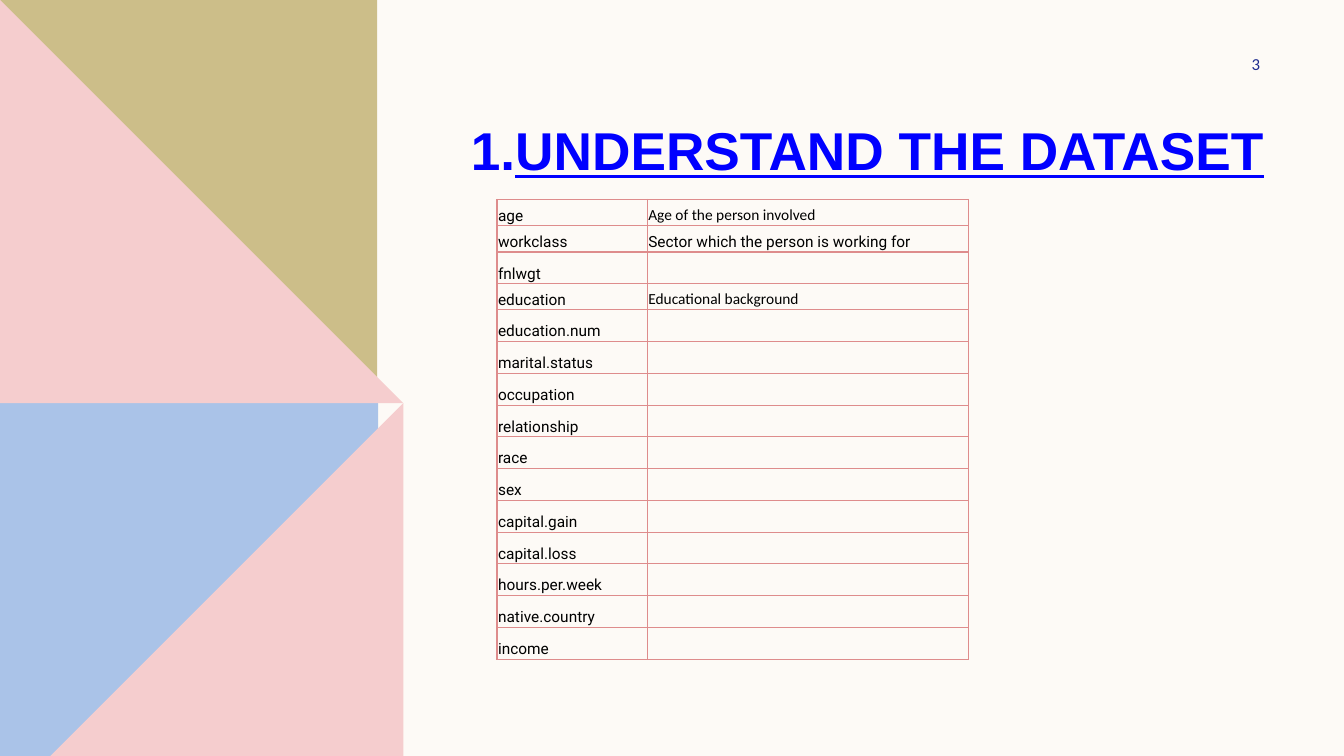
import pptx
import pptx.util
import pptx.dml.color
import pptx.enum.shapes
import pptx.enum.text
import pptx.oxml
import pptx.oxml.ns
from dataclasses import dataclass

Inches = pptx.util.Inches
Pt = pptx.util.Pt
ALIGN = pptx.enum.text.PP_ALIGN
ANCHOR = pptx.enum.text.MSO_ANCHOR


@dataclass(frozen=True)
class Theme:
    back: str = "FDFAF6"
    blue: str = "AAC3E8"
    pink: str = "F5CDCE"
    olive: str = "CCBE89"
    title: str = "0000FF"
    body: str = "000000"
    number: str = "1F2C8F"
    border: str = "DE8C8C"
    title_size: float = 38
    body_size: float = 11
    number_size: float = 12


THEME = Theme()
TITLE = "UNDERSTAND THE DATASET"
NUMBER = "3"
FIELDS = [
    ("age", "Age of the person involved", "Calibri"),
    ("workclass", "Sector which the person is working for", "Roboto"),
    ("fnlwgt", "", "Roboto"),
    ("education", "Educational background", "Calibri"),
    ("education.num", "", "Roboto"),
    ("marital.status", "", "Roboto"),
    ("occupation", "", "Roboto"),
    ("relationship", "", "Roboto"),
    ("race", "", "Roboto"),
    ("sex", "", "Roboto"),
    ("capital.gain", "", "Roboto"),
    ("capital.loss", "", "Roboto"),
    ("hours.per.week", "", "Roboto"),
    ("native.country", "", "Roboto"),
    ("income", "", "Roboto"),
]
WIDTHS = (1.49, 3.19)
TABLE_LEFT, TABLE_TOP, TABLE_HEIGHT = 4.93, 1.98, 4.56
SHORT_ROW = 0.26
PANELS = [
    ((0, 3.75, 3.75, 3.75), THEME.blue, [(3.75, 3.75), (3.75, 7.5), (0, 7.5)]),
    ((0, 0, 3.74, 3.76), THEME.olive, [(0, 0), (3.74, 3.76), (0, 3.76)]),
]


def color(code):
    return pptx.dml.color.RGBColor.from_string(code)


def paint(shape, code):
    shape.shadow.inherit = False
    shape.fill.solid()
    shape.fill.fore_color.rgb = color(code)
    shape.line.fill.background()


def style(font, name, size, code):
    font.name = name
    font.size = Pt(size)
    font.color.rgb = color(code)


def add_panel(slide, box, base, points):
    square = slide.shapes.add_shape(
        pptx.enum.shapes.MSO_SHAPE.RECTANGLE, *map(Inches, box))
    paint(square, base)
    pen = slide.shapes.build_freeform(*points[0], scale=Inches(1))
    pen.add_line_segments(points[1:], close=True)
    paint(pen.convert_to_shape(), THEME.pink)


def add_box(slide, box, inset, anchor, wrap):
    frame = slide.shapes.add_textbox(*map(Inches, box)).text_frame
    frame.margin_left = frame.margin_right = Inches(inset)
    frame.margin_top = frame.margin_bottom = Inches(inset)
    frame.vertical_anchor = anchor
    frame.word_wrap = wrap
    return frame.paragraphs[0]


def add_title(slide):
    line = add_box(slide, (4.62, 0.89, 8.26, 0.96), 0.05, ANCHOR.BOTTOM, True)
    run = line.add_run()
    run.text = TITLE
    style(run.font, "Arial", THEME.title_size, THEME.title)
    run.font.bold = run.font.underline = True
    props = line._p.get_or_add_pPr()
    props.set("marL", "0")
    props.set("indent", "0")
    props.append(pptx.oxml.parse_xml(
        f'<a:buAutoNum {pptx.oxml.ns.nsdecls("a")} type="arabicPeriod"/>'))


def add_edges(cell):
    props = cell._tc.get_or_add_tcPr()
    for place, side in enumerate(("lnL", "lnR", "lnT", "lnB")):
        props.insert(place, pptx.oxml.parse_xml(
            f'<a:{side} {pptx.oxml.ns.nsdecls("a")} w="{Pt(1)}"><a:solidFill>'
            f'<a:srgbClr val="{THEME.border}"/></a:solidFill></a:{side}>'))


def fill_cell(cell, text, face):
    cell.margin_left = cell.margin_right = cell.margin_bottom = Inches(0.01)
    cell.margin_top = 0
    cell.vertical_anchor = ANCHOR.BOTTOM
    cell.fill.background()
    line = cell.text_frame.paragraphs[0]
    if text:
        line.text = text
    style(line.font, face, THEME.body_size, THEME.body)
    add_edges(cell)


def add_fields(slide):
    blanks = sum(not note for _, note, _ in FIELDS)
    tall = (TABLE_HEIGHT - SHORT_ROW * (len(FIELDS) - blanks)) / blanks
    table = slide.shapes.add_table(
        len(FIELDS), len(WIDTHS), Inches(TABLE_LEFT), Inches(TABLE_TOP),
        Inches(sum(WIDTHS)), Inches(TABLE_HEIGHT)).table
    table.first_row = table.horz_banding = False
    for column, width in zip(table.columns, WIDTHS):
        column.width = Inches(width)
    for row, (name, note, face) in zip(table.rows, FIELDS):
        row.height = Inches(SHORT_ROW if note else tall)
        fill_cell(row.cells[0], name, "Roboto")
        fill_cell(row.cells[1], note, face)


def add_number(slide):
    line = add_box(slide, (12.36, 0.54, 0.14, 0.19), 0, ANCHOR.MIDDLE, False)
    line.text = NUMBER
    line.alignment = ALIGN.RIGHT
    style(line.font, "Calibri", THEME.number_size, THEME.number)


def main():
    deck = pptx.Presentation()
    deck.slide_width, deck.slide_height = Inches(13.33), Inches(7.5)
    slide = deck.slides.add_slide(deck.slide_layouts[6])
    slide.background.fill.solid()
    slide.background.fill.fore_color.rgb = color(THEME.back)
    for panel in PANELS:
        add_panel(slide, *panel)
    add_title(slide)
    add_fields(slide)
    add_number(slide)
    deck.save("out.pptx")


if __name__ == "__main__":
    main()
